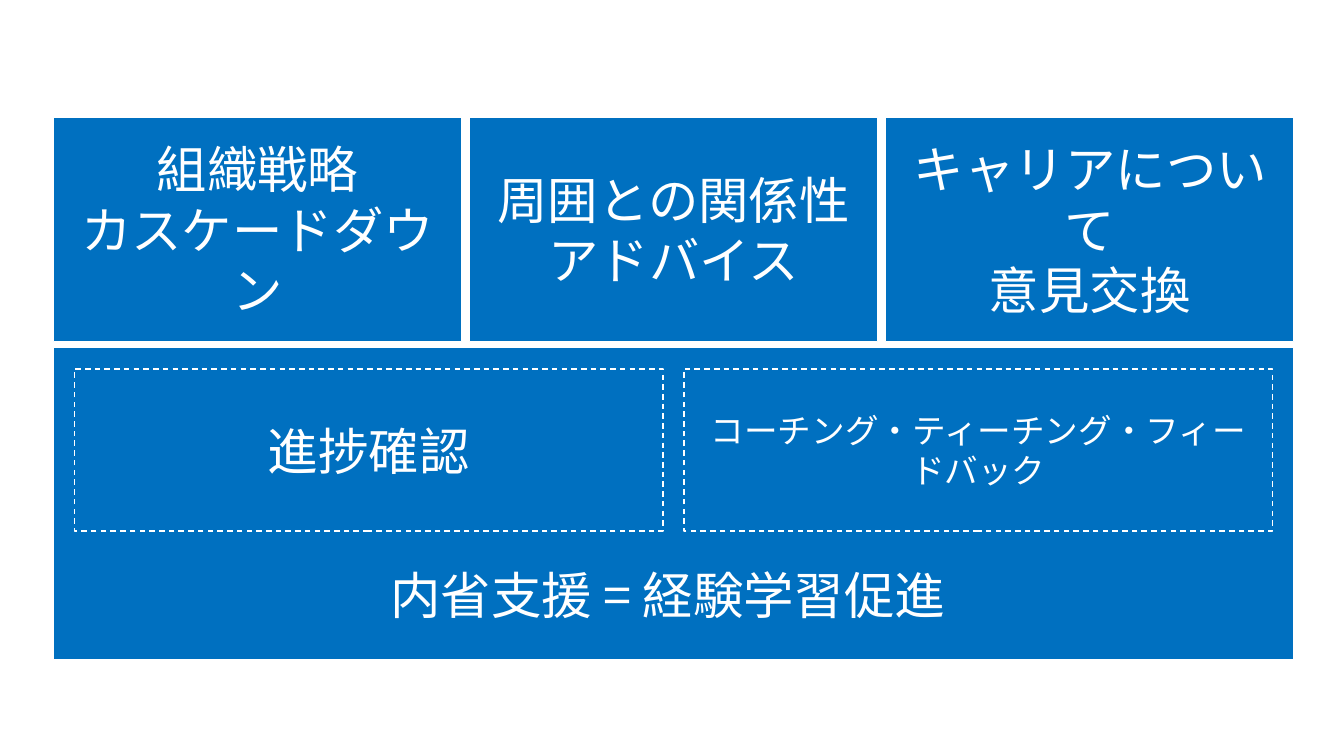
from pptx import Presentation
from pptx.dml.color import RGBColor
from pptx.enum.dml import MSO_LINE
from pptx.enum.shapes import MSO_SHAPE
from pptx.enum.text import MSO_ANCHOR, PP_ALIGN
from pptx.oxml.ns import qn
from pptx.util import Inches, Pt

FONT = "Noto Sans CJK JP"
BLUE, WHITE = "0070C0", "FFFFFF"
LEFT, WIDTH = 0.53, 12.3
TOPICS = [
    ["組織戦略", "カスケードダウン"],
    ["周囲との関係性", "アドバイス"],
    ["キャリアについて", "意見交換"],
]
METHODS = [("進捗確認", 36), ("コーチング・ティーチング・フィードバック", 24)]


def color(value):
    """Turn a hex string into a colour."""
    return RGBColor.from_string(value)


def split_columns(left, width, count, gap):
    """Return the left edges and the common width of equal columns."""
    column = (width - gap * (count - 1)) / count
    return [left + index * (column + gap) for index in range(count)], column


def add_box(slide, box, lines, size=36, dashed=False):
    """Add a blue rectangle with centred white lines of text."""
    shape = slide.shapes.add_shape(MSO_SHAPE.RECTANGLE, *map(Inches, box))
    shape.shadow.inherit = False
    shape.fill.solid()
    shape.fill.fore_color.rgb = color(BLUE)
    shape.line.color.rgb = color(WHITE)
    shape.line.width = Pt(1)
    if dashed:
        shape.line.dash_style = MSO_LINE.DASH
    frame = shape.text_frame
    frame.word_wrap = True
    frame.vertical_anchor = MSO_ANCHOR.MIDDLE
    frame.text = "\n".join(lines)
    for paragraph in frame.paragraphs:
        paragraph.alignment = PP_ALIGN.CENTER
        font = paragraph.font
        font.size = Pt(size)
        font.name = FONT
        font.color.rgb = color(WHITE)
        properties = paragraph._p.pPr.find(qn("a:defRPr"))
        east_asian = properties.makeelement(qn("a:ea"), {"typeface": FONT})
        properties.find(qn("a:latin")).addnext(east_asian)
    return shape


def add_topics(slide, left, top, width, height):
    """Place the topics in a row of equal boxes."""
    lefts, column = split_columns(left, width, len(TOPICS), 0.08)
    for column_left, lines in zip(lefts, TOPICS):
        add_box(slide, (column_left, top, column, height), lines)


def add_foundation(slide, left, top, width, height):
    """Place the supporting block with its dashed method boxes."""
    padding, method_height = 0.21, 1.61
    block = add_box(slide, (left, top, width, height), ["内省支援 = 経験学習促進 "])
    block.text_frame.margin_top = Inches(padding + method_height + 0.03)
    lefts, column = split_columns(left + padding, width - 2 * padding, len(METHODS), padding)
    for column_left, (label, size) in zip(lefts, METHODS):
        box = (column_left, top + padding, column, method_height)
        add_box(slide, box, [label], size, dashed=True)


def main():
    """Build and save the slide."""
    presentation = Presentation()
    presentation.slide_width = Inches(13.33)
    presentation.slide_height = Inches(7.5)
    slide = presentation.slides.add_slide(presentation.slide_layouts[6])
    add_foundation(slide, LEFT, 3.45, WIDTH, 3.09)
    add_topics(slide, LEFT, 1.16, WIDTH, 2.23)
    presentation.save("out.pptx")


if __name__ == "__main__":
    main()
